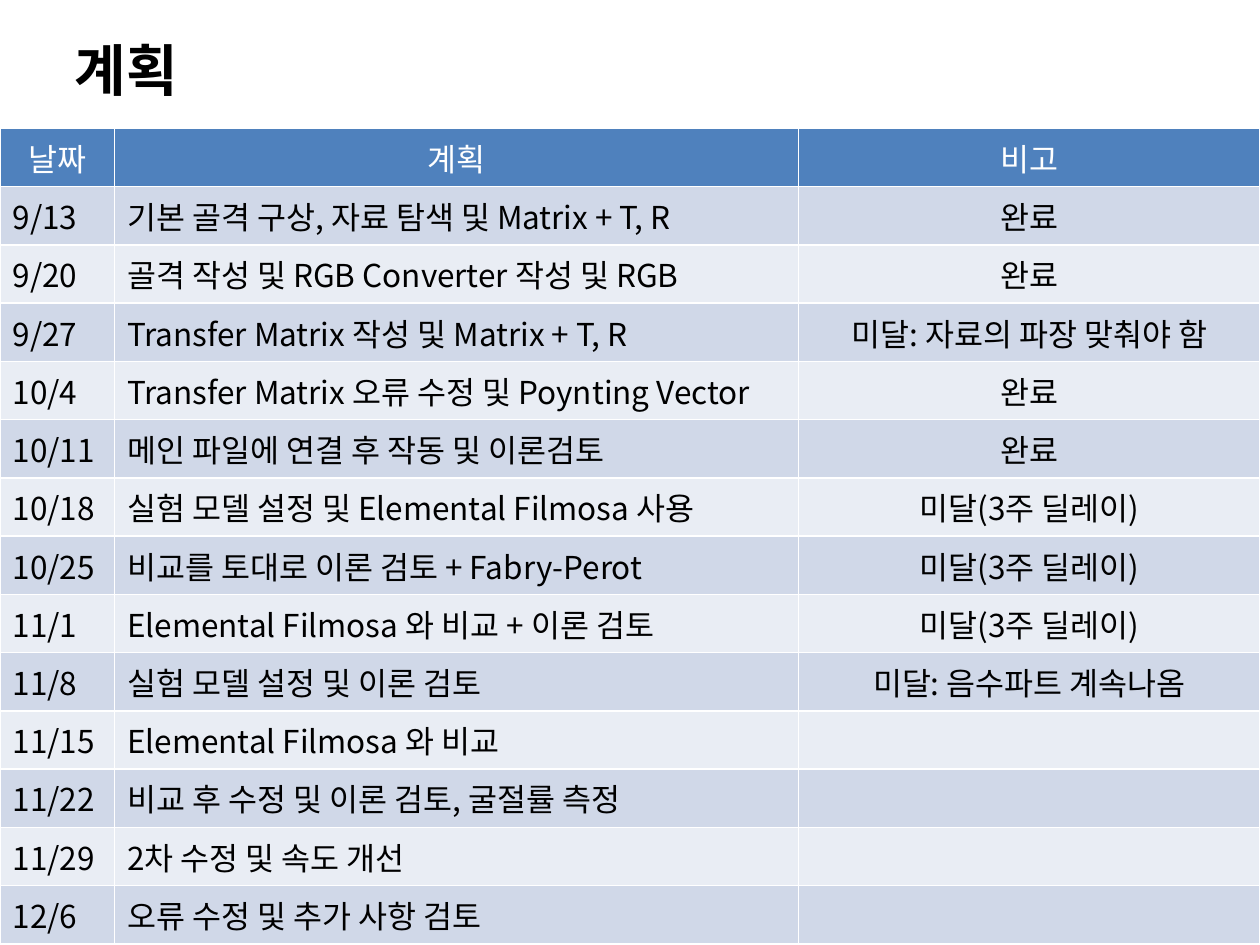
import pptx
import pptx.util
import pptx.dml.color
import pptx.enum.text
import pptx.oxml.ns
import lxml.etree

Cm = pptx.util.Cm
ALIGN = pptx.enum.text.PP_ALIGN
MIDDLE = pptx.enum.text.MSO_ANCHOR.MIDDLE

FONT = "Noto Sans CJK KR"
COLOURS = {
    "text": "000000",
    "header_text": "FFFFFF",
    "header": "4F81BD",
    "odd_row": "D0D8E8",
    "even_row": "E9EDF4",
}

TITLE = "계획"
HEADER = ("날짜", "계획", "비고")
SCHEDULE = [
    ("9/13", "기본 골격 구상, 자료 탐색 및 Matrix + T, R", "완료"),
    ("9/20", "골격 작성 및 RGB Converter 작성 및 RGB", "완료"),
    ("9/27", "Transfer Matrix 작성 및 Matrix + T, R", "미달: 자료의 파장 맞춰야 함"),
    ("10/4", "Transfer Matrix 오류 수정 및 Poynting Vector", "완료"),
    ("10/11", "메인 파일에 연결 후 작동 및 이론검토", "완료"),
    ("10/18", "실험 모델 설정 및 Elemental Filmosa 사용", "미달(3주 딜레이)"),
    ("10/25", "비교를 토대로 이론 검토 + Fabry-Perot", "미달(3주 딜레이)"),
    ("11/1", "Elemental Filmosa 와 비교 + 이론 검토", "미달(3주 딜레이)"),
    ("11/8", "실험 모델 설정 및 이론 검토", "미달: 음수파트 계속나옴"),
    ("11/15", "Elemental Filmosa 와 비교", ""),
    ("11/22", "비교 후 수정 및 이론 검토, 굴절률 측정", ""),
    ("11/29", "2차 수정 및 속도 개선", ""),
    ("12/6", "오류 수정 및 추가 사항 검토", ""),
]

SLIDE_SIZE = (25.4, 19.05)
TITLE_BOX = (0.71, 0.53, 3.68, 1.73)
TABLE_TOP = 2.59
COLUMN_WIDTHS = (2.31, 13.79, 9.3)
HEADER_HEIGHT, ROW_HEIGHT = 1.0, 1.03
REMARK_COLUMN = 2


def rgb(name):
    return pptx.dml.color.RGBColor.from_string(COLOURS[name])


def write(text_frame, text, size, colour, align, bold=False):
    paragraph = text_frame.paragraphs[0]
    paragraph.alignment = align
    if not text:
        paragraph.font.size = pptx.util.Pt(size)
        return
    run = paragraph.add_run()
    run.text = text
    run.font.size = pptx.util.Pt(size)
    run.font.bold = bold
    run.font.color.rgb = rgb(colour)
    run.font.name = FONT
    # Hangul takes the East Asian typeface, which font.name does not set.
    east_asian = lxml.etree.SubElement(run.font._element, pptx.oxml.ns.qn("a:ea"))
    east_asian.set("typeface", FONT)


def add_title(slide):
    title = slide.shapes.title
    title.left, title.top, title.width, title.height = map(Cm, TITLE_BOX)
    frame = title.text_frame
    frame.auto_size = pptx.enum.text.MSO_AUTO_SIZE.NONE
    frame.vertical_anchor = MIDDLE
    write(frame, TITLE, 32, "text", ALIGN.CENTER, bold=True)


def add_schedule(slide):
    rows = [HEADER] + SCHEDULE
    height = HEADER_HEIGHT + ROW_HEIGHT * len(SCHEDULE)
    table = slide.shapes.add_table(
        len(rows), len(HEADER), Cm(0), Cm(TABLE_TOP), Cm(SLIDE_SIZE[0]), Cm(height)
    ).table
    for column, width in zip(table.columns, COLUMN_WIDTHS):
        column.width = Cm(width)

    for r, values in enumerate(rows):
        is_header = r == 0
        table.rows[r].height = Cm(HEADER_HEIGHT if is_header else ROW_HEIGHT)
        fill = "header" if is_header else "odd_row" if r % 2 else "even_row"
        for c, value in enumerate(values):
            cell = table.cell(r, c)
            cell.fill.solid()
            cell.fill.fore_color.rgb = rgb(fill)
            centred = is_header or c == REMARK_COLUMN
            write(
                cell.text_frame,
                value,
                18,
                "header_text" if is_header else "text",
                ALIGN.CENTER if centred else ALIGN.LEFT,
            )


def main():
    presentation = pptx.Presentation()
    presentation.slide_width, presentation.slide_height = map(Cm, SLIDE_SIZE)
    slide = presentation.slides.add_slide(presentation.slide_layouts[5])
    add_title(slide)
    add_schedule(slide)
    presentation.save("out.pptx")


if __name__ == "__main__":
    main()
